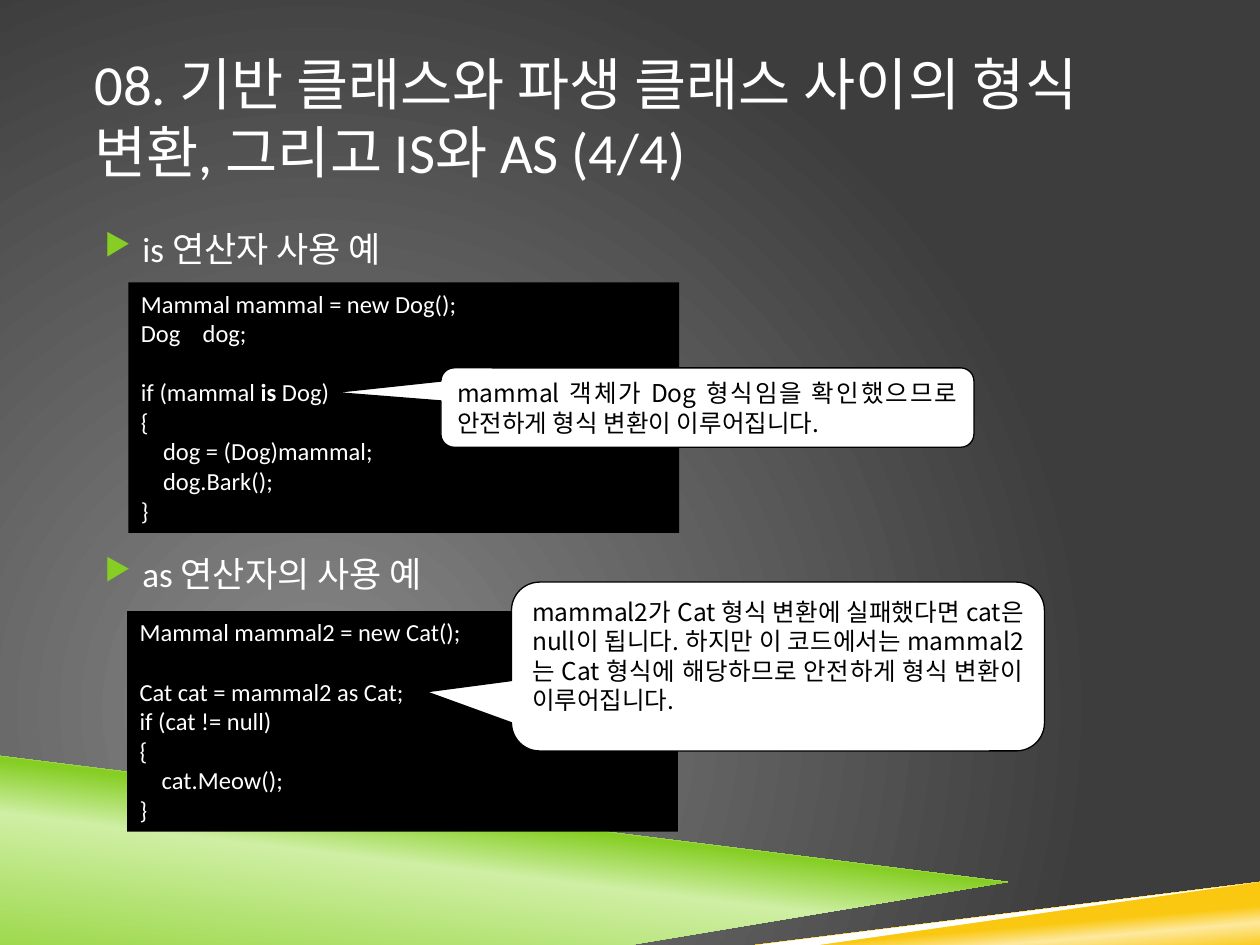
from dataclasses import dataclass

from lxml.etree import SubElement
from pptx import Presentation
from pptx.dml.color import RGBColor
from pptx.enum.shapes import MSO_SHAPE
from pptx.enum.text import MSO_ANCHOR, PP_ALIGN
from pptx.oxml.ns import qn
from pptx.util import Inches, Pt

WHITE = RGBColor(0xFF, 0xFF, 0xFF)
BLACK = RGBColor(0x00, 0x00, 0x00)
GREEN = RGBColor(0x86, 0xCE, 0x24)
PALE_GREEN = RGBColor(0xCF, 0xEF, 0xA4)
GOLD = RGBColor(0xFA, 0xC8, 0x10)
PALE_GOLD = RGBColor(0xFD, 0xE9, 0x9F)
GRAY = RGBColor(0x87, 0x87, 0x87)
DARK_GRAY = RGBColor(0x3D, 0x3D, 0x3D)
LATIN_FONT = "Calibri"
KOREAN_FONT = "Noto Sans CJK KR"
LINE_HEIGHT = 1.21


@dataclass(frozen=True)
class Band:
    points: tuple
    stops: tuple = ()
    angle: int = 0


@dataclass(frozen=True)
class CodePanel:
    left: float
    top: float
    height: float
    code: str
    keyword: str = ""


@dataclass(frozen=True)
class Callout:
    left: float
    top: float
    height: float
    tail: tuple
    text: str


BANDS = (
    Band(((0, 5.97), (7.92, 6.92), (2, 7.5), (0, 7.5)),
         ((0, GREEN), (52, PALE_GREEN), (66, GREEN)), 277),
    Band(((1.98, 7.5), (10, 6.72), (10, 7.5)),
         ((28, GOLD), (40, PALE_GOLD), (48, GOLD)), 265),
    Band(((0, 5.92), (0, 6), (7.9, 6.93), (8.32, 6.9))),
    Band(((10, 6.69), (1.84, 7.5), (2.66, 7.5), (10, 6.77))),
)
HEADINGS = ((1.75, "is 연산자 사용 예"), (4.33, "as 연산자의 사용 예"))
PANELS = (
    CodePanel(1.02, 2.24, 1.99, """Mammal mammal = new Dog();
Dog    dog;
  \vif (mammal is Dog)
{
    dog = (Dog)mammal;
    dog.Bark();
}""", "is"),
    CodePanel(1.01, 4.85, 1.75, """Mammal mammal2 = new Cat();
  \vCat cat = mammal2 as Cat;
if (cat != null)
{
    cat.Meow();
}"""),
)
CALLOUTS = (
    Callout(3.5, 2.92, 0.63, (-0.7, -0.19),
            "mammal 객체가 Dog 형식임을 확인했으므로 안전하게 형식 변환이 이루어집니다."),
    Callout(4.06, 4.62, 1.34, (-0.66, 0.15),
            "mammal2가 Cat 형식 변환에 실패했다면 cat은 null이 됩니다. 하지만 이 코드에서는 "
            "mammal2는 Cat 형식에 해당하므로 안전하게 형식 변환이 이루어집니다."),
)


def set_gradient(fill, element, stops: tuple, angle: int | None = None) -> None:
    fill.gradient()
    gradient = element.find(".//" + qn("a:gradFill"))
    for child in list(gradient):
        gradient.remove(child)
    stop_list = SubElement(gradient, qn("a:gsLst"))
    for position, color in stops:
        stop = SubElement(stop_list, qn("a:gs"), pos=str(position * 1000))
        SubElement(stop, qn("a:srgbClr"), val=str(color))
    if angle is None:
        circle = SubElement(gradient, qn("a:path"), {"path": "circle"})
        SubElement(circle, qn("a:fillToRect"), l="50000", t="100000", r="100000", b="50000")
    else:
        SubElement(gradient, qn("a:lin"), ang=str(angle * 60000), scaled="0")


def format_text(text_frame, size: float, color: RGBColor, font: str = LATIN_FONT,
                alignment: PP_ALIGN = PP_ALIGN.LEFT) -> None:
    text_frame.word_wrap = True
    for paragraph in text_frame.paragraphs:
        paragraph.alignment = alignment
        paragraph.line_spacing = Pt(round(size * LINE_HEIGHT, 1))
        for run in paragraph.runs:
            run.font.size = Pt(size)
            run.font.name = font
            run.font.color.rgb = color
            SubElement(run.font._element, qn("a:ea"), typeface=KOREAN_FONT)


def draw_band(slide, band: Band) -> None:
    builder = slide.shapes.build_freeform(*band.points[0], scale=Inches(1))
    builder.add_line_segments(band.points[1:])
    shape = builder.convert_to_shape()
    shape.shadow.inherit = False
    shape.line.fill.background()
    if band.stops:
        set_gradient(shape.fill, shape._element, band.stops, band.angle)
    else:
        shape.fill.solid()
        shape.fill.fore_color.rgb = WHITE


def add_heading(slide, top: float, height: float, text: str, size: float):
    box = slide.shapes.add_textbox(Inches(0.75), Inches(top), Inches(8.5), Inches(height))
    text_frame = box.text_frame
    text_frame.margin_left = text_frame.margin_right = 0
    text_frame.text = text
    format_text(text_frame, size, WHITE)
    return text_frame


def add_bullet(paragraph) -> None:
    properties = paragraph._p.get_or_add_pPr()
    properties.set("marL", str(Inches(0.38)))
    properties.set("indent", str(Inches(-0.3)))
    bullet_color = SubElement(properties, qn("a:buClr"))
    SubElement(bullet_color, qn("a:srgbClr"), val=str(GREEN))
    SubElement(properties, qn("a:buSzPct"), val="85000")
    SubElement(properties, qn("a:buChar"), char="▶")


def add_filled_shape(slide, kind: MSO_SHAPE, left: float, top: float,
                     width: float, height: float, color: RGBColor):
    shape = slide.shapes.add_shape(kind, Inches(left), Inches(top), Inches(width), Inches(height))
    shape.shadow.inherit = False
    shape.fill.solid()
    shape.fill.fore_color.rgb = color
    shape.text_frame.vertical_anchor = MSO_ANCHOR.TOP
    return shape


def draw_panel(slide, panel: CodePanel) -> None:
    shape = add_filled_shape(slide, MSO_SHAPE.RECTANGLE, panel.left, panel.top,
                             4.37, panel.height, BLACK)
    shape.line.fill.background()
    shape.text_frame.text = panel.code
    for paragraph in shape.text_frame.paragraphs:
        if panel.keyword and panel.keyword in paragraph.text:
            before, keyword, after = paragraph.text.partition(panel.keyword)
            paragraph.text = before
            keyword_run = paragraph.add_run()
            keyword_run.text = keyword
            keyword_run.font.bold = True
            paragraph.add_run().text = after
    format_text(shape.text_frame, 14, WHITE)


def draw_callout(slide, callout: Callout) -> None:
    shape = add_filled_shape(slide, MSO_SHAPE.ROUNDED_RECTANGULAR_CALLOUT, callout.left,
                             callout.top, 4.23, callout.height, WHITE)
    shape.adjustments[0], shape.adjustments[1] = callout.tail
    shape.line.color.rgb = BLACK
    shape.line.width = Pt(0.75)
    shape.text_frame.text = callout.text
    format_text(shape.text_frame, 14, BLACK, KOREAN_FONT, PP_ALIGN.JUSTIFY)


def main() -> None:
    """Build the slide on the is and as operators."""
    presentation = Presentation()
    presentation.slide_width, presentation.slide_height = Inches(10), Inches(7.5)
    slide = presentation.slides.add_slide(presentation.slide_layouts[6])
    set_gradient(slide.background.fill, slide._element, ((0, GRAY), (100, DARK_GRAY)))
    for band in BANDS:
        draw_band(slide, band)
    title = add_heading(slide, 0.3, 1.25,
                        "08. 기반 클래스와 파생 클래스 사이의 형식 변환, 그리고 IS와 AS (4/4)", 32.4)
    title.vertical_anchor = MSO_ANCHOR.MIDDLE
    for top, text in HEADINGS:
        heading = add_heading(slide, top, 0.45, text, 20)
        add_bullet(heading.paragraphs[0])
    for panel in PANELS:
        draw_panel(slide, panel)
    for callout in CALLOUTS:
        draw_callout(slide, callout)
    presentation.save("out.pptx")


if __name__ == "__main__":
    main()
